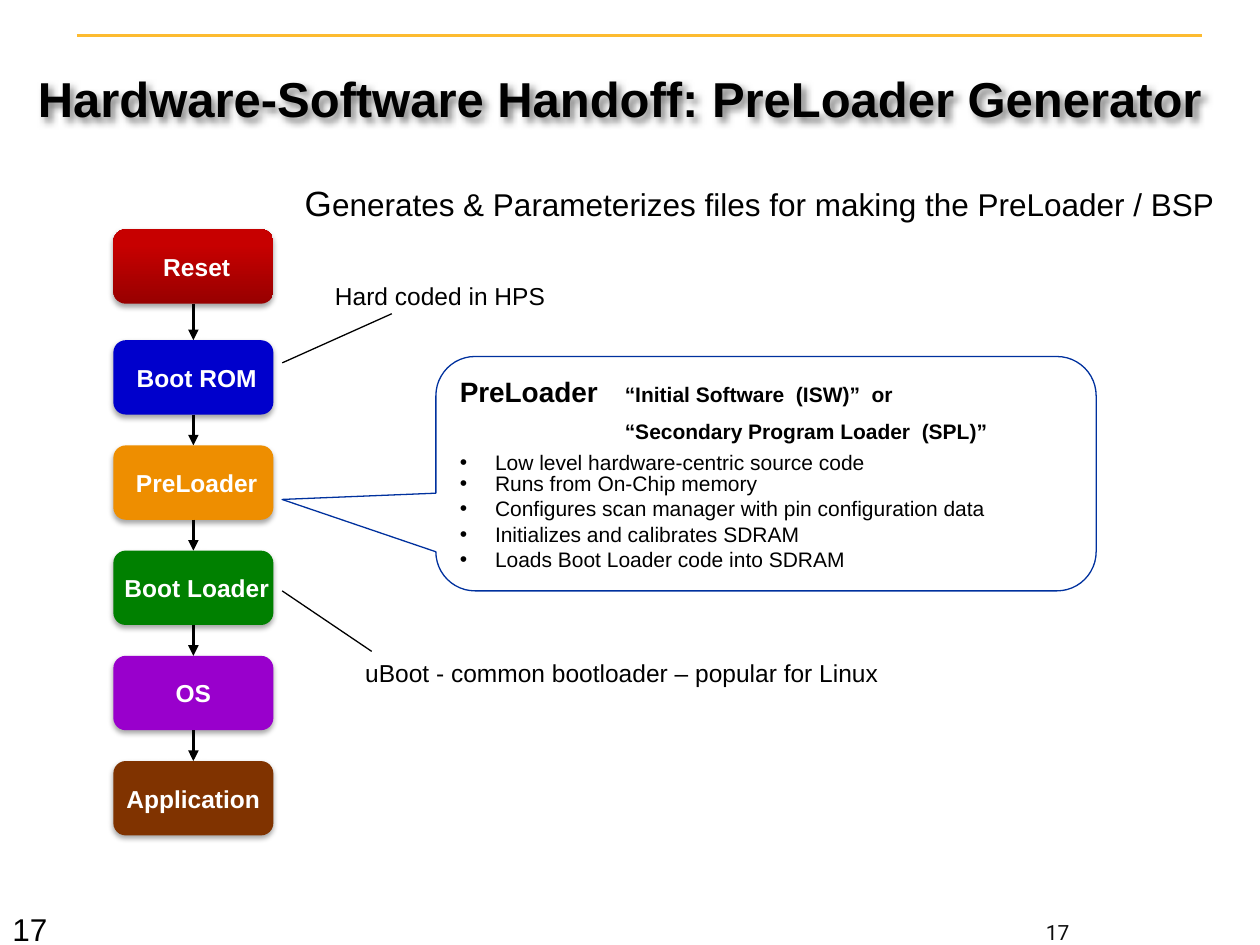
from pptx import Presentation
from pptx.dml.color import RGBColor
from pptx.enum.shapes import MSO_CONNECTOR, MSO_SHAPE
from pptx.enum.text import MSO_ANCHOR, PP_ALIGN
from pptx.oxml.ns import qn
from pptx.util import Inches, Pt
from lxml.etree import SubElement

COLORS = {
    "text": "000000", "white": "FFFFFF", "rule": "FDBB30", "number": "0D0D0D",
    "callout": "00319E", "reset_dark": "980000", "reset": "C70000",
    "rom": "0000CC", "preloader": "EE8E00", "loader": "008000",
    "os": "9900CC", "app": "803300",
}
STAGES = [("Reset", "reset"), ("Boot ROM", "rom"), ("PreLoader", "preloader"),
          ("Boot Loader", "loader"), ("OS", "os"), ("Application", "app")]
BULLETS = [
    "Low level hardware-centric source code",
    "Runs from On-Chip memory",
    "Configures scan manager with pin configuration data",
    "Initializes and calibrates SDRAM",
    "Loads Boot Loader code into SDRAM",
]


def rgb(name):
    return RGBColor.from_string(COLORS[name])


def style(font, size, color="text", bold=False, name="Arial"):
    font.size, font.bold, font.name = Pt(size), bold, name
    font.color.rgb = rgb(color)


def add_shadow(sp, blur, dist, angle, alpha):
    """Outer shadow; blur and distance in points, angle in degrees."""
    sp.shadow.inherit = False
    effects = sp._element.spPr.find(qn("a:effectLst"))
    outer = SubElement(effects, qn("a:outerShdw"), blurRad=str(Pt(blur)),
                       dist=str(Pt(dist)), dir=str(angle * 60000),
                       algn="ctr", rotWithShape="0")
    color = SubElement(outer, qn("a:srgbClr"), val=COLORS["text"])
    SubElement(color, qn("a:alpha"), val=str(alpha * 1000))


def add_line(s, start, end, width, color="text", arrow=False):
    line = s.shapes.add_connector(MSO_CONNECTOR.STRAIGHT,
                                  *map(Inches, start + end))
    line.line.color.rgb = rgb(color)
    line.line.width = Pt(width)
    if arrow:
        SubElement(line.line._get_or_add_ln(), qn("a:tailEnd"), type="triangle")
    SubElement(line._element.spPr, qn("a:effectLst"))


def add_text(s, box, text, size, wrap=False, **font):
    tf = s.shapes.add_textbox(*map(Inches, box)).text_frame
    tf.word_wrap = wrap
    p = tf.paragraphs[0]
    p.text = text
    style(p.runs[0].font, size, **font)
    return tf


def add_title(s, box):
    title = s.shapes.title
    title.left, title.top, title.width, title.height = map(Inches, box)
    tf = title.text_frame
    tf.text = "Hardware-Software Handoff: PreLoader Generator"
    tf.vertical_anchor = MSO_ANCHOR.MIDDLE
    p = tf.paragraphs[0]
    p.alignment = PP_ALIGN.LEFT
    style(p.runs[0].font, 28, bold=True)
    add_shadow(title, 4, 3, 45, 50)


def add_stage(s, box, label, color):
    sp = s.shapes.add_shape(MSO_SHAPE.ROUNDED_RECTANGLE, *map(Inches, box))
    sp.line.fill.background()
    if color == "reset":
        sp.fill.gradient()
        sp.fill.gradient_angle = 90
        dark, light = sp.fill.gradient_stops
        dark.color.rgb, light.color.rgb = rgb("reset_dark"), rgb(color)
        light.position = 0.8
    else:
        sp.fill.solid()
        sp.fill.fore_color.rgb = rgb(color)
    add_shadow(sp, 3.1, 1.8, 90, 35)
    tf = sp.text_frame
    tf.margin_left = tf.margin_right = 0
    tf.vertical_anchor = MSO_ANCHOR.MIDDLE
    p = tf.paragraphs[0]
    p.text = label if color in ("os", "app") else f" {label}"
    p.alignment = PP_ALIGN.CENTER
    style(p.runs[0].font, 14, "white", bold=True)


def add_boot_flow(s, left, top, width, height):
    """Column of boot stages joined by arrows; the first gap is wider."""
    first_step, step = 0.88, 0.835
    center = left + width / 2
    y = top
    for i, (label, color) in enumerate(STAGES):
        if i:
            bottom = y + height
            y += first_step if i == 1 else step
            add_line(s, (center, bottom), (center, y), 2, arrow=True)
        add_stage(s, (left, y, width, height), label, color)


def add_tab_stop(p, position):
    tabs = SubElement(p._p.get_or_add_pPr(), qn("a:tabLst"))
    SubElement(tabs, qn("a:tab"), pos=str(Inches(position)), algn="l")


def add_bullet(p, indent):
    pPr = p._p.get_or_add_pPr()
    pPr.set("marL", str(Inches(indent)))
    pPr.set("indent", str(-Inches(indent)))
    SubElement(pPr, qn("a:buFont"), typeface="Arial")
    SubElement(pPr, qn("a:buChar"), char="•")


def add_callout(s, box):
    sp = s.shapes.add_shape(MSO_SHAPE.ROUNDED_RECTANGULAR_CALLOUT,
                            *map(Inches, box))
    for i, value in enumerate((-0.733, 0.11, 0.167)):
        sp.adjustments[i] = value
    sp.shadow.inherit = False
    sp.fill.solid()
    sp.fill.fore_color.rgb = rgb("white")
    sp.line.color.rgb = rgb("callout")
    sp.line.width = Pt(0.75)

    tf = sp.text_frame
    tf.word_wrap = True
    tf.vertical_anchor = MSO_ANCHOR.TOP
    headings = [[("PreLoader", 16), ("\t“Initial Software  (ISW)”  or", 12)],
                [("\t“Secondary Program Loader  (SPL)”", 12)]]
    for i, runs in enumerate(headings):
        p = tf.add_paragraph() if i else tf.paragraphs[0]
        p.alignment = PP_ALIGN.LEFT
        p.space_after = Pt(6)
        add_tab_stop(p, 1.31)
        for text, size in runs:
            r = p.add_run()
            r.text = text
            style(r.font, size, bold=True)
    for i, text in enumerate(BULLETS):
        p = tf.add_paragraph()
        p.text = text
        p.alignment = PP_ALIGN.LEFT
        if i < 2:
            p.line_spacing = Pt(12)
        add_bullet(p, 0.28)
        style(p.runs[0].font, 12)


def add_notes_beside_flow(s):
    add_text(s, (2.56, 2.18, 1.88, 0.34), "Hard coded in HPS", 14)
    add_line(s, (3.11, 2.49), (2.24, 2.88), 0.75)
    add_text(s, (2.8, 5.17, 4.29, 0.34),
             "uBoot - common bootloader – popular for Linux", 14)
    add_line(s, (2.95, 5.17), (2.24, 4.69), 0.75)


def add_page_numbers(s):
    tf = add_text(s, (7.55, 7.3, 1.69, 0.2), "17", 12, wrap=True,
                  color="number", name="Roboto")
    tf.vertical_anchor = MSO_ANCHOR.MIDDLE
    tf.paragraphs[0].alignment = PP_ALIGN.CENTER
    add_text(s, (0, 7.17, 0.76, 0.31), "17", 18, wrap=True)


def main():
    prs = Presentation()
    prs.slide_width, prs.slide_height = Inches(10), Inches(7.5)
    s = prs.slides.add_slide(prs.slide_layouts[5])
    add_line(s, (0.61, 0.28), (9.54, 0.28), 2, "rule")
    add_title(s, (0.2, 0.28, 9.53, 1))
    add_page_numbers(s)
    add_callout(s, (3.46, 2.83, 5.24, 1.86))
    add_boot_flow(s, 0.9, 1.82, 1.27, 0.59)
    subtitle = add_text(s, (2.32, 1.39, 7.49, 0.44), "G", 20)
    r = subtitle.paragraphs[0].add_run()
    r.text = "enerates & Parameterizes files for making the PreLoader / BSP"
    style(r.font, 18)
    add_notes_beside_flow(s)
    prs.save("out.pptx")


if __name__ == "__main__":
    main()
